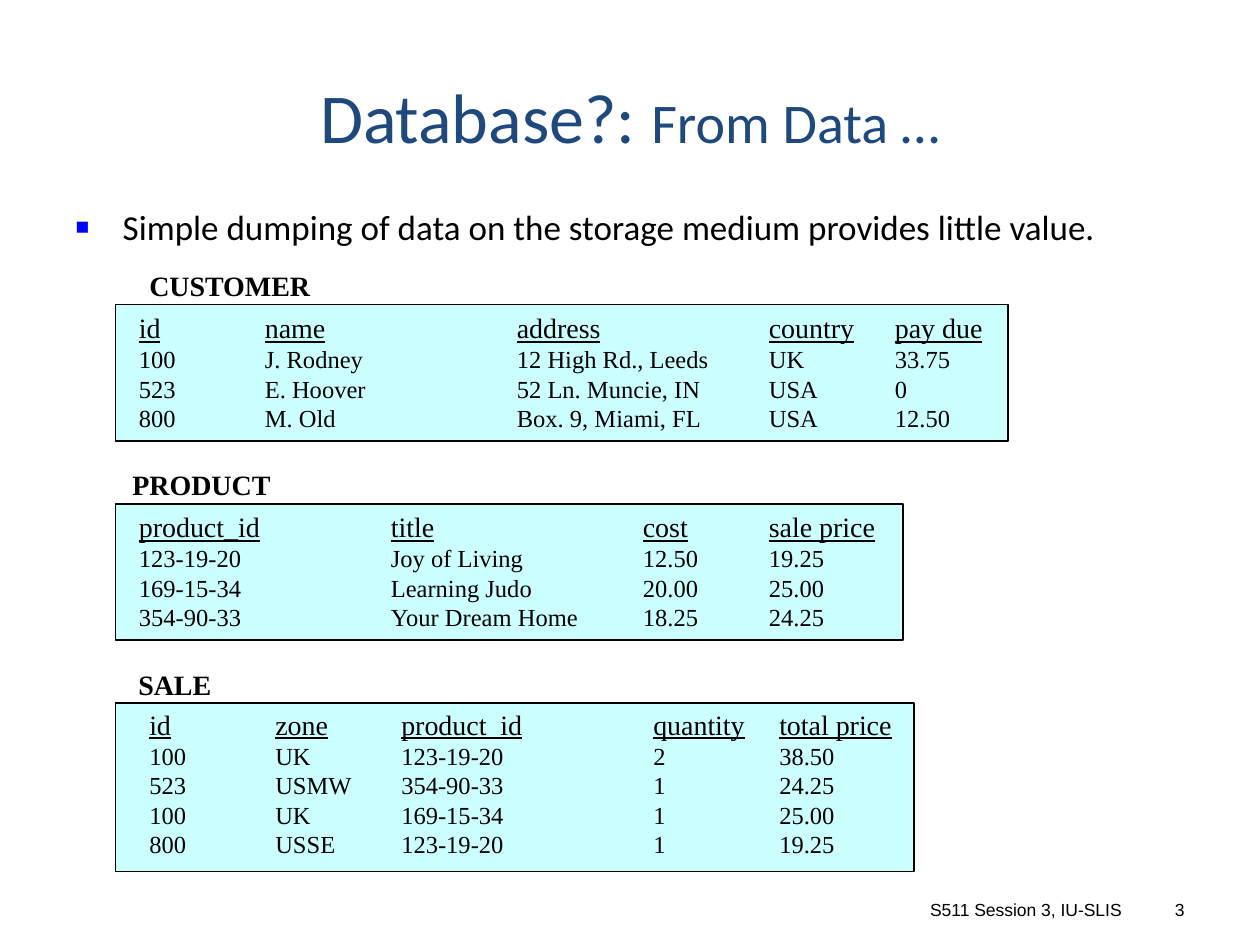
from dataclasses import dataclass

from lxml import etree
from pptx import Presentation
from pptx import util as u
from pptx.dml.color import RGBColor
from pptx.enum import shapes, text
from pptx.oxml.ns import qn


@dataclass(frozen=True)
class Theme:
    ink: str = "000000"
    title: str = "1F497D"
    bullet: str = "0000FF"
    panel: str = "CCFFFF"
    heading_font: str = "Calibri"
    record_font: str = "Times New Roman"
    footer_font: str = "Arial"
    title_size: int = 40
    subtitle_size: int = 32
    body_size: int = 20
    label_size: int = 16
    record_size: int = 14
    footer_size: int = 10


TAB_STEP = 2.54
TAB_COUNT = 8
PANEL_LEFT = 2.33
NAME_RISE = 0.85  # a relation's name starts this far above its panel

# name, name left and width, panel top, width and height,
# records box (left, top, width, height), header and records
RELATIONS = [
    ("CUSTOMER", 2.76, 3.8, 6.14, 17.99, 2.75, (2.55, 6.14, 17.6, 2.72), [
        "id\tname\t\taddress\t\tcountry\tpay due",
        "100\tJ. Rodney\t\t12 High Rd., Leeds\tUK\t33.75",
        "523\tE. Hoover\t\t52 Ln. Muncie, IN\tUSA\t0",
        "800\tM. Old\t\tBox. 9, Miami, FL\tUSA\t12.50",
    ]),
    ("PRODUCT", 2.42, 3.35, 10.16, 15.88, 2.75, (2.55, 10.15, 15.45, 2.72), [
        "product_id\t\ttitle\t\tcost\tsale price",
        "123-19-20\t\tJoy of Living\t12.50\t19.25",
        "169-15-34\t\tLearning Judo\t20.00\t25.00",
        "354-90-33\t\tYour Dream Home\t18.25\t24.25",
    ]),
    ("SALE", 2.54, 2.0, 14.18, 16.09, 3.39, (2.76, 14.13, 15.55, 3.3), [
        "id\tzone\tproduct_id\t\tquantity\ttotal price",
        "100\tUK\t123-19-20\t\t2\t38.50",
        "523\tUSMW\t354-90-33\t\t1\t24.25",
        "100\tUK\t169-15-34\t\t1\t25.00",
        "800\tUSSE\t123-19-20\t\t1\t19.25",
    ]),
]


class SlideBuilder:
    """Holds the theme and the slide being filled; lengths are centimetres."""

    def __init__(self, slide, theme):
        self.slide = slide
        self.theme = theme

    def place(self, shape, left, top, width, height):
        shape.left, shape.top = u.Cm(left), u.Cm(top)
        shape.width, shape.height = u.Cm(width), u.Cm(height)

    def run(self, paragraph, words, font, size, color=None, bold=False, underline=False):
        run = paragraph.add_run()
        run.text = words
        run.font.name = font
        run.font.size = u.Pt(size)
        run.font.bold = bold
        run.font.underline = underline
        run.font.color.rgb = RGBColor.from_string(color or self.theme.ink)

    def title(self, main, detail, box):
        heading = self.slide.shapes.title
        self.place(heading, *box)
        heading.text_frame.auto_size = text.MSO_AUTO_SIZE.NONE
        heading.text_frame.vertical_anchor = text.MSO_ANCHOR.MIDDLE
        paragraph = heading.text_frame.paragraphs[0]
        paragraph.alignment = text.PP_ALIGN.CENTER
        t = self.theme
        self.run(paragraph, main, t.heading_font, t.title_size, t.title)
        self.run(paragraph, detail, t.heading_font, t.subtitle_size, t.title)

    def bullet(self, words, box):
        body = self.slide.placeholders[1]
        self.place(body, *box)
        body.text_frame.auto_size = text.MSO_AUTO_SIZE.NONE
        paragraph = body.text_frame.paragraphs[0]
        paragraph.space_before = u.Pt(0)
        properties = paragraph._p.get_or_add_pPr()
        indent = u.Cm(0.95)
        properties.set("marL", str(indent))
        properties.set("indent", str(-indent))
        color = etree.SubElement(properties, qn("a:buClr"))
        etree.SubElement(color, qn("a:srgbClr"), val=self.theme.bullet)
        etree.SubElement(properties, qn("a:buSzPct"), val="65000")
        etree.SubElement(properties, qn("a:buFont"), typeface="Arial")
        etree.SubElement(properties, qn("a:buChar"), char="■")
        self.run(paragraph, words, self.theme.heading_font, self.theme.body_size)

    def panel(self, left, top, width, height):
        panel = self.slide.shapes.add_shape(
            shapes.MSO_SHAPE.RECTANGLE, *map(u.Cm, (left, top, width, height)))
        panel.shadow.inherit = False
        panel.fill.solid()
        panel.fill.fore_color.rgb = RGBColor.from_string(self.theme.panel)
        panel.line.color.rgb = RGBColor.from_string(self.theme.ink)
        panel.line.width = u.Pt(1)

    def text_frame(self, box):
        """Add a text box that grows with its unwrapped lines."""
        frame = self.slide.shapes.add_textbox(*map(u.Cm, box)).text_frame
        frame.word_wrap = False
        frame.auto_size = text.MSO_AUTO_SIZE.SHAPE_TO_FIT_TEXT
        return frame

    def relation_name(self, name, box):
        paragraph = self.text_frame(box).paragraphs[0]
        paragraph.alignment = text.PP_ALIGN.LEFT
        self.run(paragraph, name, self.theme.record_font, self.theme.label_size, bold=True)

    def records(self, lines, box):
        """Write tabbed lines, the first one as an underlined header."""
        t = self.theme
        frame = self.text_frame(box)
        for row, line in enumerate(lines):
            header = row == 0
            paragraph = frame.paragraphs[0] if header else frame.add_paragraph()
            tabs = etree.SubElement(paragraph._p.get_or_add_pPr(), qn("a:tabLst"))
            for stop in range(TAB_COUNT):
                etree.SubElement(tabs, qn("a:tab"), pos=str(u.Cm(stop * TAB_STEP)), algn="l")
            size = t.label_size if header else t.record_size
            self.run(paragraph, line, t.record_font, size, underline=header)

    def footer(self, words, box):
        frame = self.slide.shapes.add_textbox(*map(u.Cm, box)).text_frame
        frame.word_wrap = True
        frame.vertical_anchor = text.MSO_ANCHOR.BOTTOM
        paragraph = frame.paragraphs[0]
        paragraph.alignment = text.PP_ALIGN.RIGHT
        self.run(paragraph, words, self.theme.footer_font, self.theme.footer_size)


def main():
    deck = Presentation()
    deck.slide_width, deck.slide_height = u.Cm(25.4), u.Cm(19.05)
    page = SlideBuilder(deck.slides.add_slide(deck.slide_layouts[1]), Theme())

    page.title("Database?: ", "From Data …", (1.27, 1.06, 22.86, 2.54))
    page.bullet("Simple dumping of data on the storage medium provides little value.",
                (1.27, 4.02, 22.86, 1.27))
    for name, name_left, name_width, top, width, height, box, lines in RELATIONS:
        page.panel(PANEL_LEFT, top, width, height)
        page.relation_name(name, (name_left, top - NAME_RISE, name_width, 0.94))
        page.records(lines, box)
    page.footer("S511 Session 3, IU-SLIS", (17.35, 17.99, 5.51, 0.69))
    page.footer("3", (23.07, 17.99, 1.06, 0.69))

    deck.save("out.pptx")


if __name__ == "__main__":
    main()
